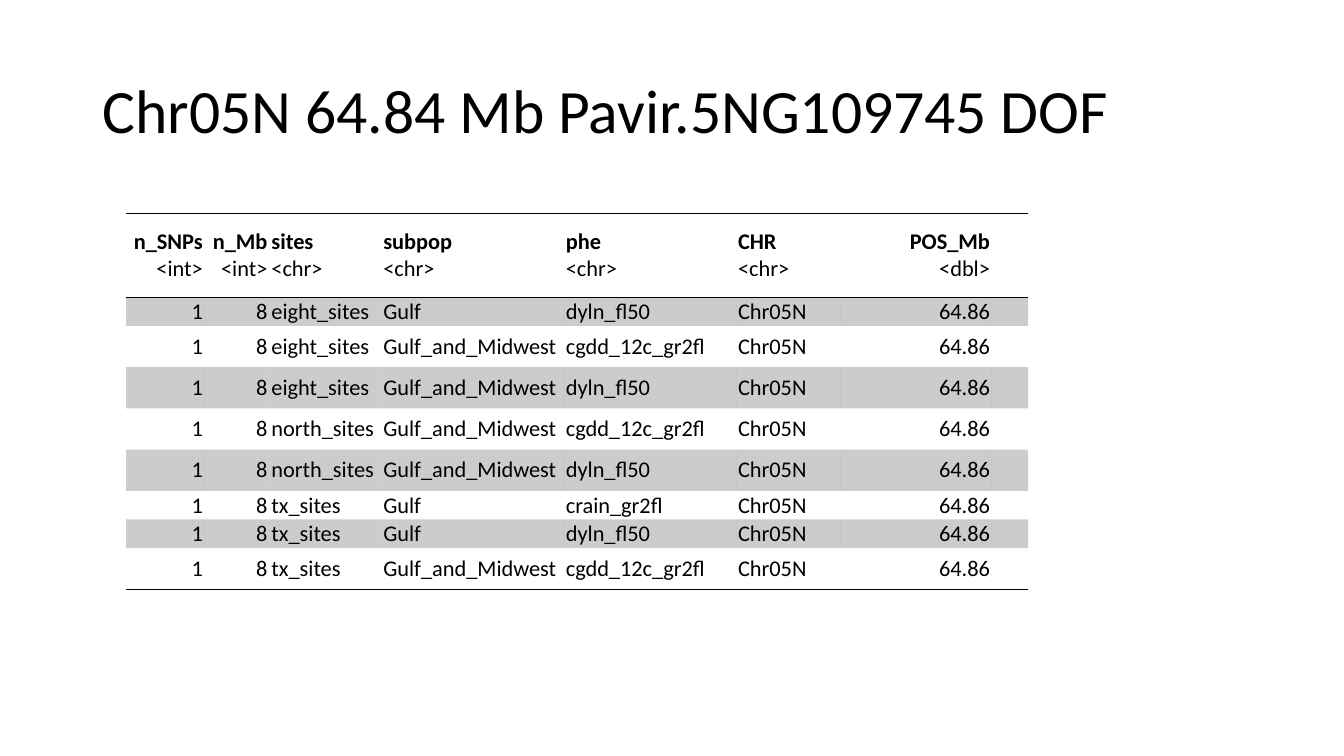
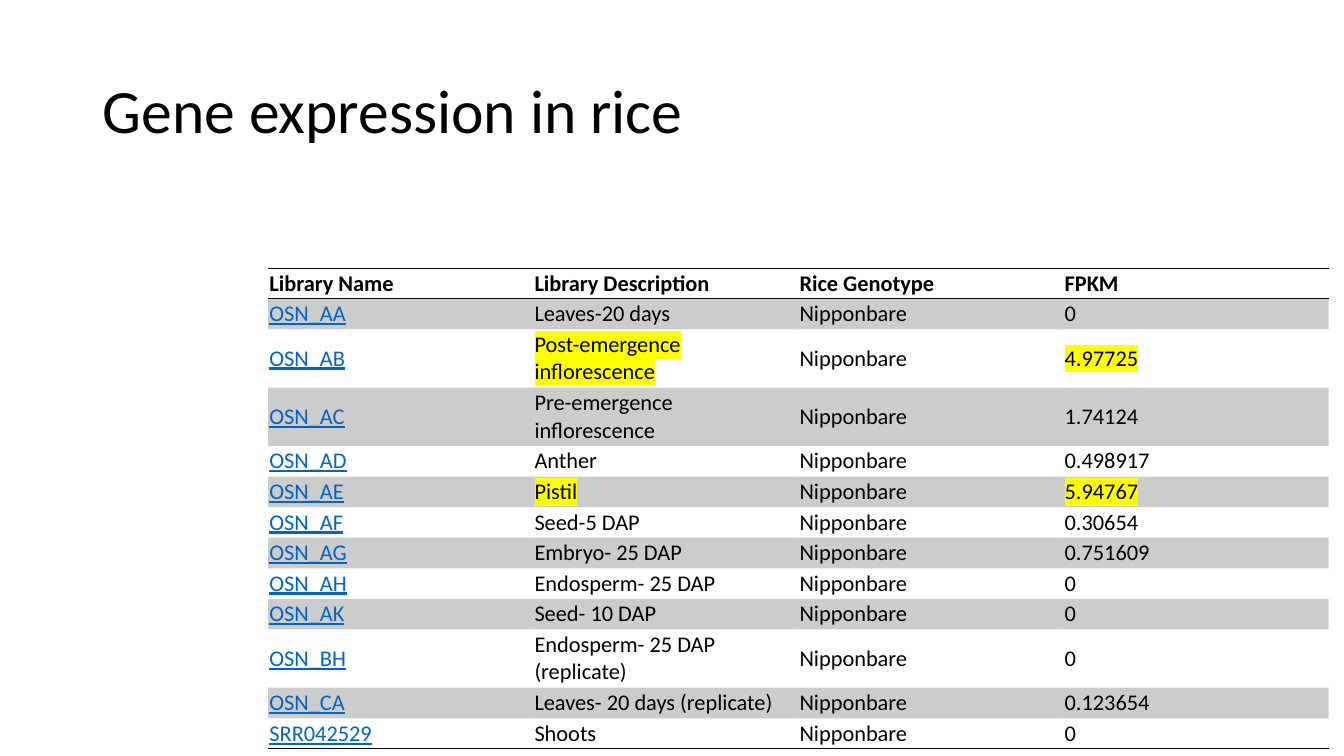
"""Build two slides of switchgrass and rice gene tables."""
from lxml.etree import SubElement
from pptx import Presentation
from pptx.dml.color import RGBColor
from pptx.enum.text import MSO_VERTICAL_ANCHOR as Anchor, PP_PARAGRAPH_ALIGNMENT as Align
from pptx.oxml import parse_xml
from pptx.oxml.ns import nsdecls, qn
from pptx.util import Cm, Pt

BLACK = RGBColor(0x00, 0x00, 0x00)
LINK_BLUE = RGBColor(0x05, 0x63, 0xC1)
YELLOW = RGBColor(0xFF, 0xFF, 0x00)
BAND_OPACITY = 20000
PLAIN_TABLE = "{2D5ABB26-0587-4C30-8999-92F81FD0307C}"

TITLE_FONT = {"name": "Calibri", "size": Pt(44)}
BODY_FONT = {"name": "Calibri", "size": Pt(16), "bold": False}
HEAD_FONT = {**BODY_FONT, "bold": True}
LINK_FONT = {**BODY_FONT, "underline": True}
TABLE_FLAGS = {"first_row": False, "horz_banding": False}

SNP_HEADS = [("n_SNPs", "<int>"), ("n_Mb", "<int>"), ("sites", "<chr>"),
             ("subpop", "<chr>"), ("phe", "<chr>"), ("CHR", "<chr>"),
             ("POS_Mb", "<dbl>"), ("",)]
SNP_WIDTHS = [1.98, 1.63, 2.82, 4.6, 4.34, 2.64, 3.81, 0.91]
NUMBER_COLUMNS = {0, 1, 6}
BOTH = "Gulf_and_Midwest"
SNP_HITS = [
    ("eight_sites", "Gulf", "dyln_fl50"),
    ("eight_sites", BOTH, "cgdd_12c_gr2fl"),
    ("eight_sites", BOTH, "dyln_fl50"),
    ("north_sites", BOTH, "cgdd_12c_gr2fl"),
    ("north_sites", BOTH, "dyln_fl50"),
    ("tx_sites", "Gulf", "crain_gr2fl"),
    ("tx_sites", "Gulf", "dyln_fl50"),
    ("tx_sites", BOTH, "cgdd_12c_gr2fl"),
]

RICE_HEADS = ["Library Name", "Library Description", "Rice Genotype", "FPKM"]
RICE_LIBRARIES = [
    ("OSN_AA", "Leaves-20 days", "0"),
    ("OSN_AB", "Post-emergence inflorescence", "4.97725"),
    ("OSN_AC", "Pre-emergence inflorescence", "1.74124"),
    ("OSN_AD", "Anther", "0.498917"),
    ("OSN_AE", "Pistil", "5.94767"),
    ("OSN_AF", "Seed-5 DAP", "0.30654"),
    ("OSN_AG", "Embryo- 25 DAP", "0.751609"),
    ("OSN_AH", "Endosperm- 25 DAP", "0"),
    ("OSN_AK", "Seed- 10 DAP", "0"),
    ("OSN_BH", "Endosperm- 25 DAP (replicate)", "0"),
    ("OSN_CA", "Leaves- 20 days (replicate)", "0.123654"),
    ("SRR042529", "Shoots", "0"),
]
TWO_LINE_LIBRARIES = {"OSN_AB", "OSN_AC", "OSN_BH"}
HIGHLIGHTED_LIBRARIES = {"OSN_AB", "OSN_AE"}


def set_all(target, values):
    """Set each named attribute of the target."""
    for name, value in values.items():
        setattr(target, name, value)


def write_line(paragraph, text, font, color=BLACK, marker=None):
    """Write one formatted line, highlighted if a marker colour is given."""
    if not text:
        SubElement(paragraph._p, qn("a:endParaRPr"), sz=str(font["size"].centipoints))
        return
    run = paragraph.add_run()
    run.text = text
    set_all(run.font, font)
    run.font.color.rgb = color
    if marker is not None:
        solid = run._r.rPr.find(qn("a:solidFill"))
        solid.addnext(parse_xml(
            f'<a:highlight {nsdecls("a")}><a:srgbClr val="{marker}"/></a:highlight>'))


def add_title(slide, text):
    """Add the slide title."""
    frame = slide.shapes.add_textbox(Cm(2.34), Cm(1.02), Cm(29.21), Cm(3.68)).text_frame
    set_all(frame, {"word_wrap": True, "vertical_anchor": Anchor.MIDDLE})
    frame.paragraphs[0].line_spacing = 0.9
    write_line(frame.paragraphs[0], text, TITLE_FONT)


def add_plain_table(slide, left, top, widths, heights):
    """Add an unstyled table with the given column widths and row heights in cm."""
    table = slide.shapes.add_table(
        len(heights), len(widths), Cm(left), Cm(top),
        Cm(sum(widths)), Cm(sum(heights))).table
    set_all(table, TABLE_FLAGS)
    table._tbl.tblPr.find(qn("a:tableStyleId")).text = PLAIN_TABLE
    for column, width in zip(table.columns, widths):
        column.width = Cm(width)
    for row, height in zip(table.rows, heights):
        row.height = Cm(height)
    return table


def rule_cell(cell, sides):
    """Draw black rules on the given sides (T, B) of a cell."""
    for position, side in enumerate(sides):
        cell._tc.get_or_add_tcPr().insert(position, parse_xml(
            f'<a:ln{side} {nsdecls("a")} w="{Pt(1)}"><a:solidFill>'
            f'<a:srgbClr val="{BLACK}"/></a:solidFill></a:ln{side}>'))


def shade_cell(cell):
    """Fill a cell with translucent black."""
    cell.fill.solid()
    cell.fill.fore_color.rgb = BLACK
    tint = cell._tc.tcPr.find(f'{qn("a:solidFill")}/{qn("a:srgbClr")}')
    SubElement(tint, qn("a:alpha"), val=str(BAND_OPACITY))


def style_table(table, side_margin):
    """Apply margins, grey bands on odd rows, and rules round head and foot."""
    last = len(table.rows) - 1
    layout = {"margin_left": Cm(side_margin), "margin_right": Cm(side_margin),
              "margin_top": Cm(0.02), "margin_bottom": Cm(0.02),
              "vertical_anchor": Anchor.MIDDLE}
    for index, row in enumerate(table.rows):
        for cell in row.cells:
            set_all(cell, layout)
            if index % 2:
                shade_cell(cell)
            else:
                cell.fill.background()
            if index in (0, last):
                rule_cell(cell, "B" if index else "TB")


def add_snp_table(slide):
    """Add the table of SNP hits by site and subpopulation."""
    heights = [2.11] + [1.04 if hit[1] == BOTH else 0.72 for hit in SNP_HITS]
    table = add_plain_table(slide, 3.18, 5.38, SNP_WIDTHS, heights)
    style_table(table, 0.05)
    rows = [SNP_HEADS] + [
        [(text,) for text in ("1", "8", *hit, "Chr05N", "64.86", "")] for hit in SNP_HITS]
    for r, row in enumerate(rows):
        for c, lines in enumerate(row):
            frame = table.cell(r, c).text_frame
            for n, text in enumerate(lines):
                paragraph = frame.add_paragraph() if n else frame.paragraphs[0]
                paragraph.alignment = Align.RIGHT if c in NUMBER_COLUMNS else Align.LEFT
                write_line(paragraph, text, BODY_FONT if r or n else HEAD_FONT)


def add_rice_table(slide):
    """Add the table of rice expression by library."""
    heights = [0.77] + [1.47 if library[0] in TWO_LINE_LIBRARIES else 0.77
                        for library in RICE_LIBRARIES]
    table = add_plain_table(slide, 6.76, 6.76, [6.68] * len(RICE_HEADS), heights)
    style_table(table, 0.03)
    for c, head in enumerate(RICE_HEADS):
        write_line(table.cell(0, c).text_frame.paragraphs[0], head, HEAD_FONT)
    for r, (name, description, fpkm) in enumerate(RICE_LIBRARIES, start=1):
        marker = YELLOW if name in HIGHLIGHTED_LIBRARIES else None
        entries = [(name, LINK_FONT, LINK_BLUE), (description, BODY_FONT, BLACK, marker),
                   ("Nipponbare", BODY_FONT), (fpkm, BODY_FONT, BLACK, marker)]
        for c, entry in enumerate(entries):
            write_line(table.cell(r, c).text_frame.paragraphs[0], *entry)


def main():
    """Build and save the presentation."""
    deck = Presentation()
    set_all(deck, {"slide_width": Cm(33.87), "slide_height": Cm(19.05)})
    for title, add_content in (
            ("Chr05N 64.84 Mb Pavir.5NG109745 DOF", add_snp_table),
            ("Gene expression in rice", add_rice_table)):
        slide = deck.slides.add_slide(deck.slide_layouts[6])
        add_title(slide, title)
        add_content(slide)
    deck.save("out.pptx")


if __name__ == "__main__":
    main()
